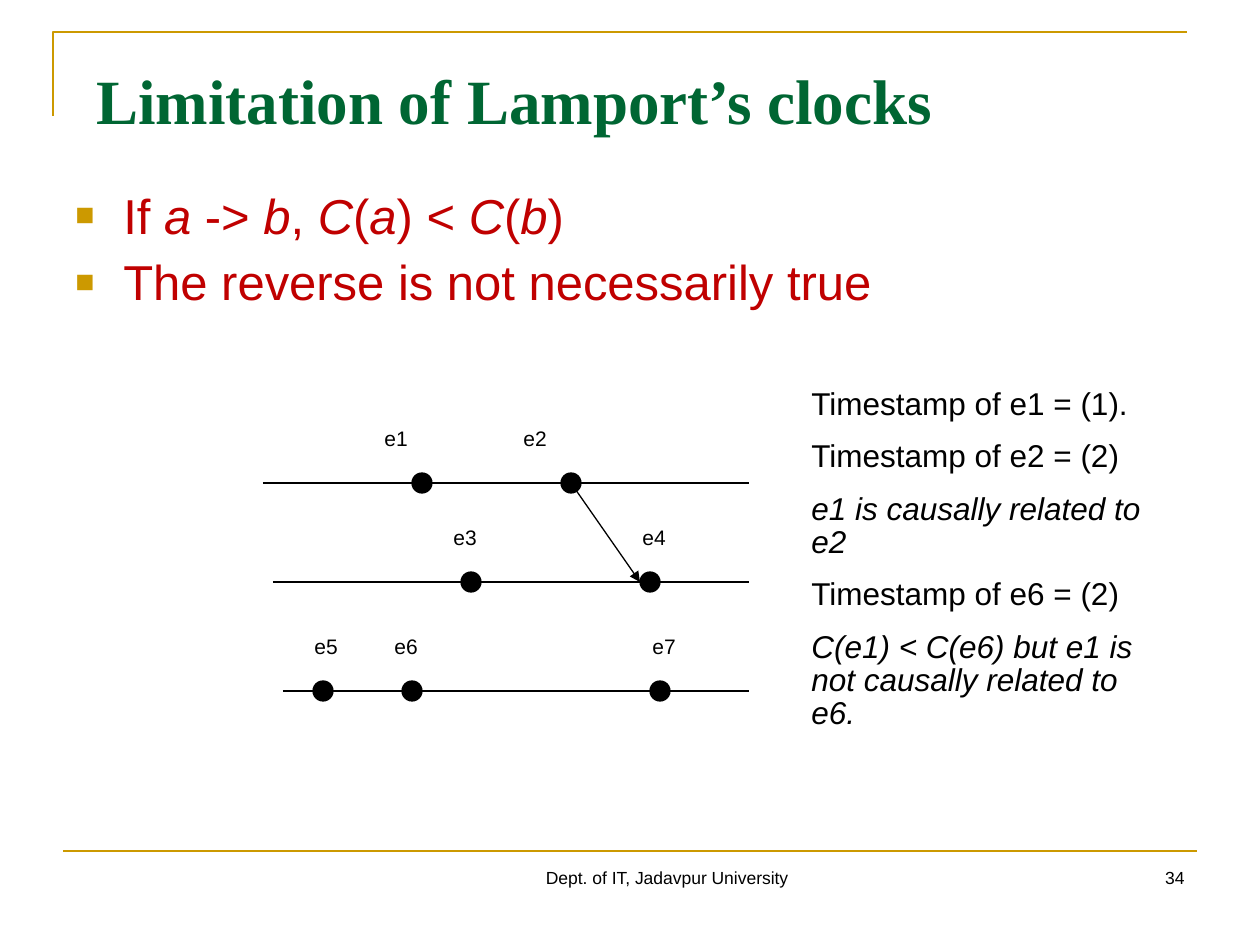
from lxml.etree import SubElement as Sub
from pptx import Presentation
from pptx.dml.color import RGBColor
from pptx.enum.shapes import MSO_CONNECTOR as Link, MSO_SHAPE as Kind
from pptx.enum.text import MSO_ANCHOR as Anchor, PP_ALIGN as Align
from pptx.oxml.ns import qn
from pptx.util import Emu, Inches, Pt

SCALE = Inches(1) / 126
BLACK, GOLD, GREEN, RED = "000000", "CC9900", "006633", "C00000"


def px(n):
    return Emu(round(n * SCALE))


def color(code):
    return RGBColor.from_string(code)


class Page:
    font = "Arial"

    def __init__(self, deck):
        self.shapes = deck.slides.add_slide(deck.slide_layouts[6]).shapes

    def stroke(self, line, code, width):
        line.color.rgb = color(code)
        line.width = Pt(width)

    def line(self, x1, y1, x2, y2, code=BLACK, width=0.75, arrow=False):
        link = self.shapes.add_connector(
            Link.STRAIGHT, px(x1), px(y1), px(x2), px(y2))
        self.stroke(link.line, code, width)
        props = link._element.spPr
        if arrow:
            Sub(props.find(qn("a:ln")), qn("a:tailEnd"), type="triangle")
        Sub(props, qn("a:effectLst"))

    def bend(self, points, code, width):
        form = self.shapes.build_freeform(*points[0], scale=SCALE)
        form.add_line_segments(points[1:], close=False)
        shape = form.convert_to_shape()
        shape.shadow.inherit = False
        shape.fill.background()
        self.stroke(shape.line, code, width)

    def dot(self, x, y, size=20):
        shape = self.shapes.add_shape(
            Kind.OVAL, px(x - size / 2), px(y - size / 2), px(size), px(size))
        shape.shadow.inherit = False
        shape.fill.solid()
        shape.fill.fore_color.rgb = color(BLACK)
        self.stroke(shape.line, BLACK, 0.75)

    def bullet(self, para, code):
        props = para._p.get_or_add_pPr()
        props.set("marL", str(px(48)))
        props.set("indent", str(-px(48)))
        Sub(Sub(props, qn("a:buClr")), qn("a:srgbClr"), val=code)
        Sub(props, qn("a:buSzPct"), val="65000")
        Sub(props, qn("a:buFont"), typeface=self.font)
        Sub(props, qn("a:buChar"), char="■")

    def text(self, box, paras, size, code=BLACK, font=None, bold=False,
             align=Align.LEFT, anchor=Anchor.TOP, gap=0, lead=None, mark=None):
        """Each paragraph is a list of runs; a run starting with * is italic."""
        frame = self.shapes.add_textbox(*map(px, box)).text_frame
        frame.word_wrap = True
        frame.vertical_anchor = anchor
        for i, runs in enumerate(paras):
            para = frame.add_paragraph() if i else frame.paragraphs[0]
            if mark:
                self.bullet(para, mark)
            para.alignment = align
            if lead:
                para.line_spacing = lead
            para.space_before = Pt(gap if i else 0)
            for words in runs:
                run = para.add_run()
                run.text = words.removeprefix("*")
                face = run.font
                face.name, face.size, face.bold = font or self.font, Pt(size), bold
                face.italic = words.startswith("*")
                face.color.rgb = color(code)


def main():
    deck = Presentation()
    deck.slide_width, deck.slide_height = px(1260), px(945)
    page = Page(deck)

    # Frame and footer
    page.bend([(53, 116), (53, 32), (1187, 32)], GOLD, 1.5)
    page.line(63, 851, 1197, 851, GOLD, 1.5)
    page.text((462, 861, 410, 63), [["Dept. of IT, Jadavpur University"]], 10,
              align=Align.CENTER)
    page.text((935, 861, 262, 63), [["34"]], 10, align=Align.RIGHT)

    # Title and bullets
    page.text((84, 55, 1019, 88), [["Limitation of Lamport’s clocks"]], 36, GREEN,
              font="Times New Roman", bold=True, anchor=Anchor.BOTTOM)
    page.text((63, 179, 1134, 218), [
        ["If ", "*a", " -> ", "*b", ", ", "*C", "(", "*a", ") < ", "*C", "(",
         "*b", ")"],
        ["The reverse is not necessarily true"],
    ], 28, RED, gap=4.5, mark=GOLD)

    # Process lines: y, start, events as (name, dot centre, label left)
    lanes = [
        (483, 263, [("e1", 422, 372), ("e2", 571, 511)]),
        (582, 273, [("e3", 471, 441), ("e4", 650, 630)]),
        (691, 283, [("e5", 323, 302), ("e6", 412, 382), ("e7", 660, 640)]),
    ]
    for y, start, _ in lanes:
        page.line(start, y, 749, y)

    # Message from e2 to e4
    page.line(571, 483, 640, 582, arrow=True)

    # Events
    for y, _, events in lanes:
        for name, x, left in events:
            page.dot(x, y)
            page.text((left, y - 60, 59, 35), [[name]], 12, lead=0.87)

    # Timestamps
    page.text((799, 383, 377, 355), [
        ["Timestamp of e1 = (1)."],
        ["Timestamp of e2 = (2)"],
        ["*e1 is causally related to e2"],
        ["Timestamp of e6 = (2)"],
        ["*C(e1) < C(e6) but e1 is not causally related to e6."],
    ], 18, gap=11.2, lead=0.87)

    deck.save("out.pptx")


if __name__ == "__main__":
    main()
